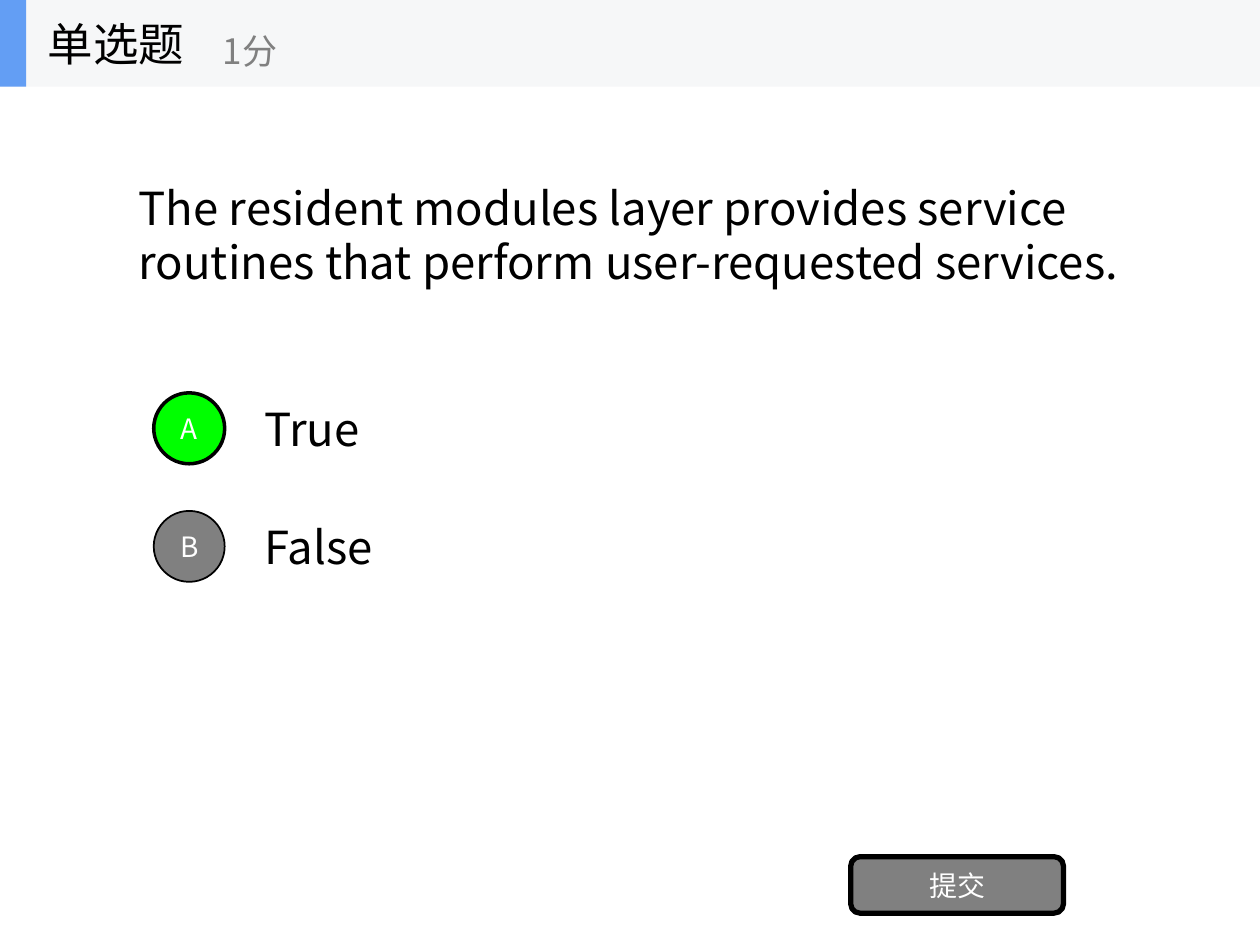
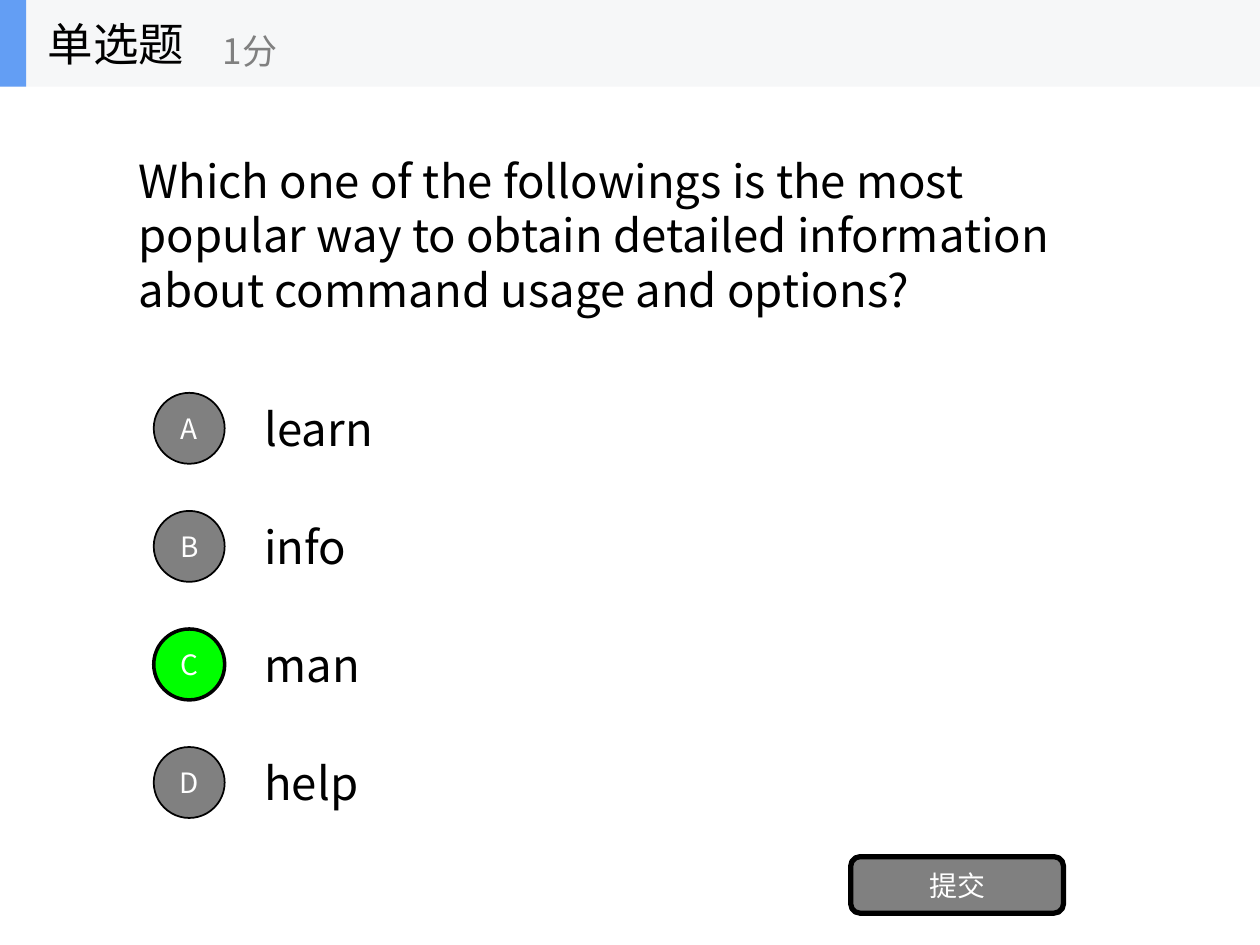
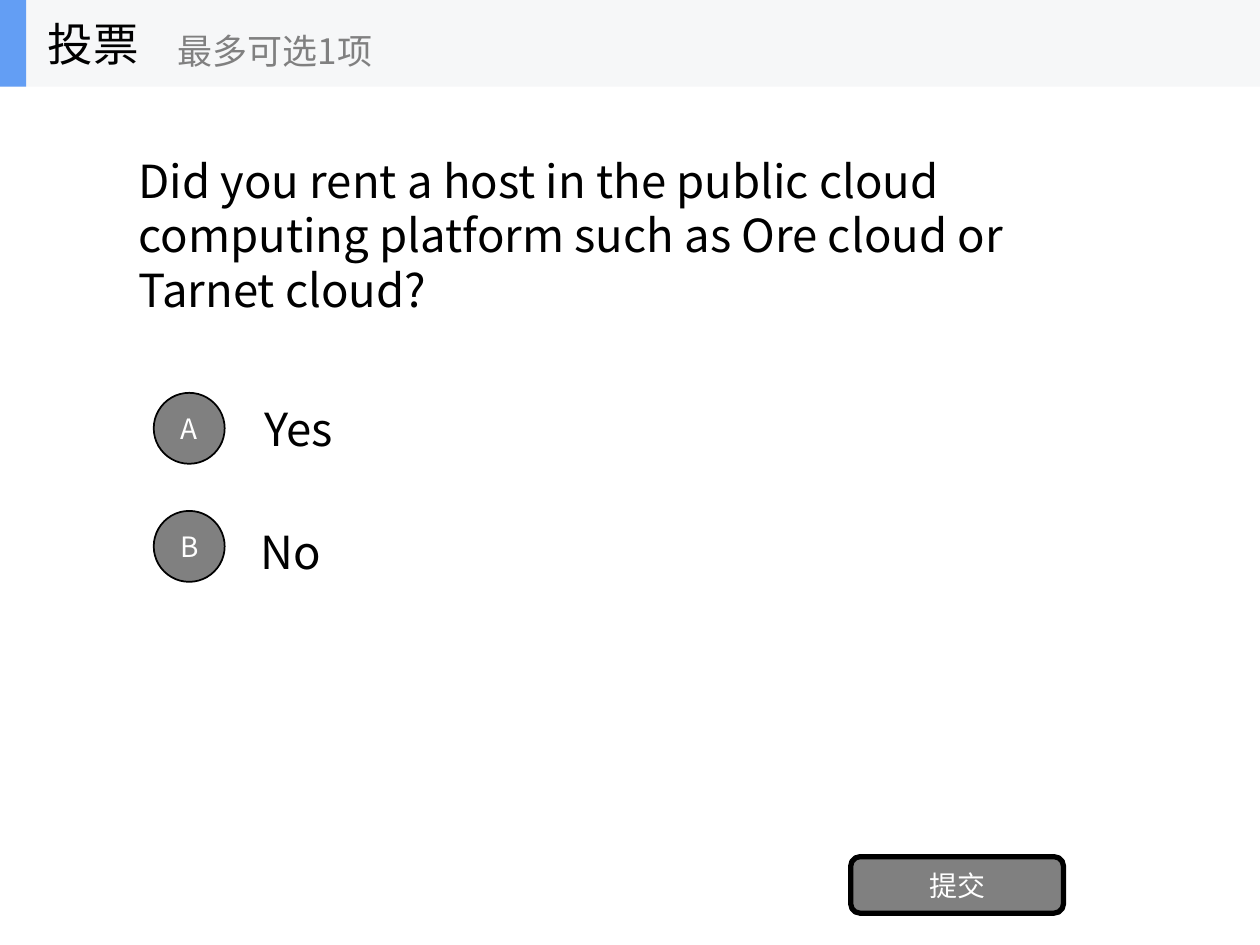
from lxml import etree
from pptx import Presentation
from pptx.dml.color import RGBColor
from pptx.enum import shapes, text
from pptx.oxml import ns
from pptx.util import Cm, Pt

BLACK = RGBColor(0x00, 0x00, 0x00)
WHITE = RGBColor(0xFF, 0xFF, 0xFF)
GRAY = RGBColor(0x80, 0x80, 0x80)
GREEN = RGBColor(0x00, 0xFF, 0x00)
BLUE = RGBColor(0x63, 0x9E, 0xF4)
PALE = RGBColor(0xF6, 0xF7, 0xF8)

FONT = "Noto Sans CJK SC"
HEADER_H = 1.75
OPTION_TOP = 7.74
OPTION_H = 1.79
OPTION_STEP = 2.38
CIRCLE = 1.43


class QuizDeck:
    def __init__(self):
        self.prs = Presentation()
        self.prs.slide_width, self.prs.slide_height = Cm(25.4), Cm(19.05)
        self.s = None

    def new_slide(self):
        self.s = self.prs.slides.add_slide(self.prs.slide_layouts[5])

    def set_text(self, sp, words, size, color, align=text.PP_ALIGN.LEFT):
        tf = sp.text_frame
        tf.word_wrap = True
        tf.auto_size = text.MSO_AUTO_SIZE.NONE
        tf.vertical_anchor = text.MSO_ANCHOR.MIDDLE
        p = tf.paragraphs[0]
        p.text = words
        p.alignment = align
        p.font.size = Pt(size)
        p.font.color.rgb = color
        p.font.name = FONT
        latin = p._p.pPr.find(ns.qn("a:defRPr")).find(ns.qn("a:latin"))
        ea = etree.Element(ns.qn("a:ea"), typeface=FONT)
        latin.addnext(ea)

    def label(self, parent, box, words, size, color=BLACK):
        sp = parent.add_textbox(*map(Cm, box))
        self.set_text(sp, words, size, color)

    def shape(self, parent, kind, box, fill, line=0):
        sp = parent.add_shape(kind, *map(Cm, box))
        sp.shadow.inherit = False
        sp.fill.solid()
        sp.fill.fore_color.rgb = fill
        if line:
            sp.line.color.rgb = BLACK
            sp.line.width = Pt(line)
        else:
            sp.line.fill.background()
        return sp

    def question(self, words):
        sp = self.s.shapes.title
        sp.left, sp.top = Cm(2.54), Cm(HEADER_H)
        sp.width, sp.height = Cm(20.32), Cm(5.95)
        self.set_text(sp, words, 26, BLACK)

    def option(self, index, words, correct=False, nudge=(0, 0)):
        """Add a lettered circle and its answer; nudge shifts the answer in cm."""
        top = OPTION_TOP + index * OPTION_STEP
        dx, dy = nudge
        self.label(self.s.shapes, (5.08 + dx, top + dy, 17.78, OPTION_H), words, 26)
        circle = (3.1, top + (OPTION_H - CIRCLE) / 2, CIRCLE, CIRCLE)
        sp = self.shape(self.s.shapes, shapes.MSO_SHAPE.OVAL, circle,
                        GREEN if correct else GRAY, 2 if correct else 1)
        self.set_text(sp, "ABCD"[index], 16, WHITE, text.PP_ALIGN.CENTER)

    def submit_button(self):
        sp = self.shape(self.s.shapes, shapes.MSO_SHAPE.ROUNDED_RECTANGLE,
                        (17.15, 17.27, 4.29, 1.14), GRAY, 3)
        self.set_text(sp, "提交", 16, WHITE, text.PP_ALIGN.CENTER)

    def header(self, kind, note, note_left):
        group = self.s.shapes.add_group_shape().shapes
        for width, fill in ((25.4, PALE), (0.53, BLUE)):
            self.shape(group, shapes.MSO_SHAPE.RECTANGLE, (0, 0, width, HEADER_H), fill)
        self.label(group, (0.71, 0, 5.28, HEADER_H), kind, 26)
        self.label(group, (note_left, 0.31, 6.35, 1.43), note, 20, GRAY)


SINGLE_CHOICE = ("单选题", "1分", 4.24)
POLL = ("投票", "最多可选1项", 3.33)

QUIZ = [
    (SINGLE_CHOICE,
     "The resident modules layer provides service routines that perform "
     "user-requested services.",
     [("True", True), ("False",)]),
    (SINGLE_CHOICE,
     "Which one of the followings is the most popular way to obtain detailed "
     "information about command usage and options?",
     [("learn",), ("info",), ("man", True), ("help",)]),
    (POLL,
     "Did you rent a host in the public cloud computing platform such as "
     "Ore cloud or Tarnet cloud?",
     [("Yes",), ("No", False, (-0.08, 0.1))]),
]


def main():
    deck = QuizDeck()
    for heading, question, options in QUIZ:
        deck.new_slide()
        deck.question(question)
        for i, option in enumerate(options):
            deck.option(i, *option)
        deck.submit_button()
        deck.header(*heading)
    deck.prs.save("out.pptx")


if __name__ == "__main__":
    main()
